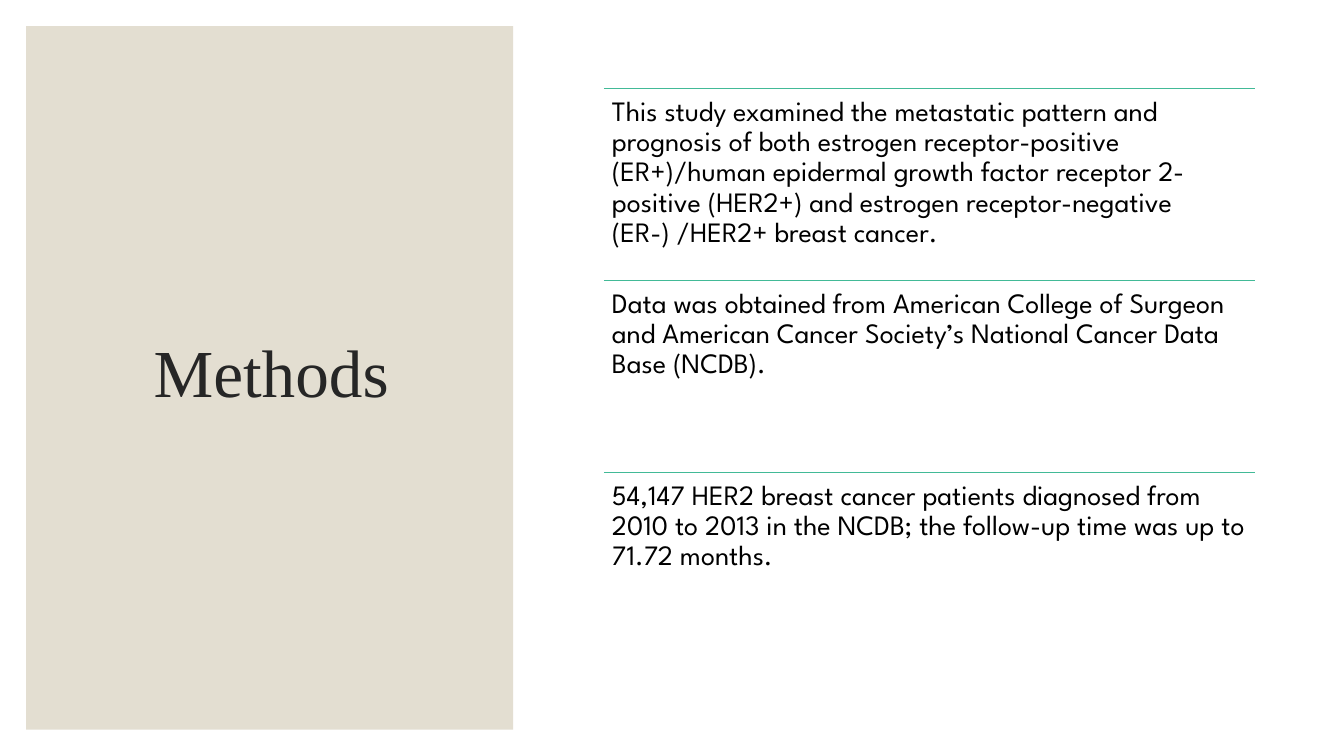
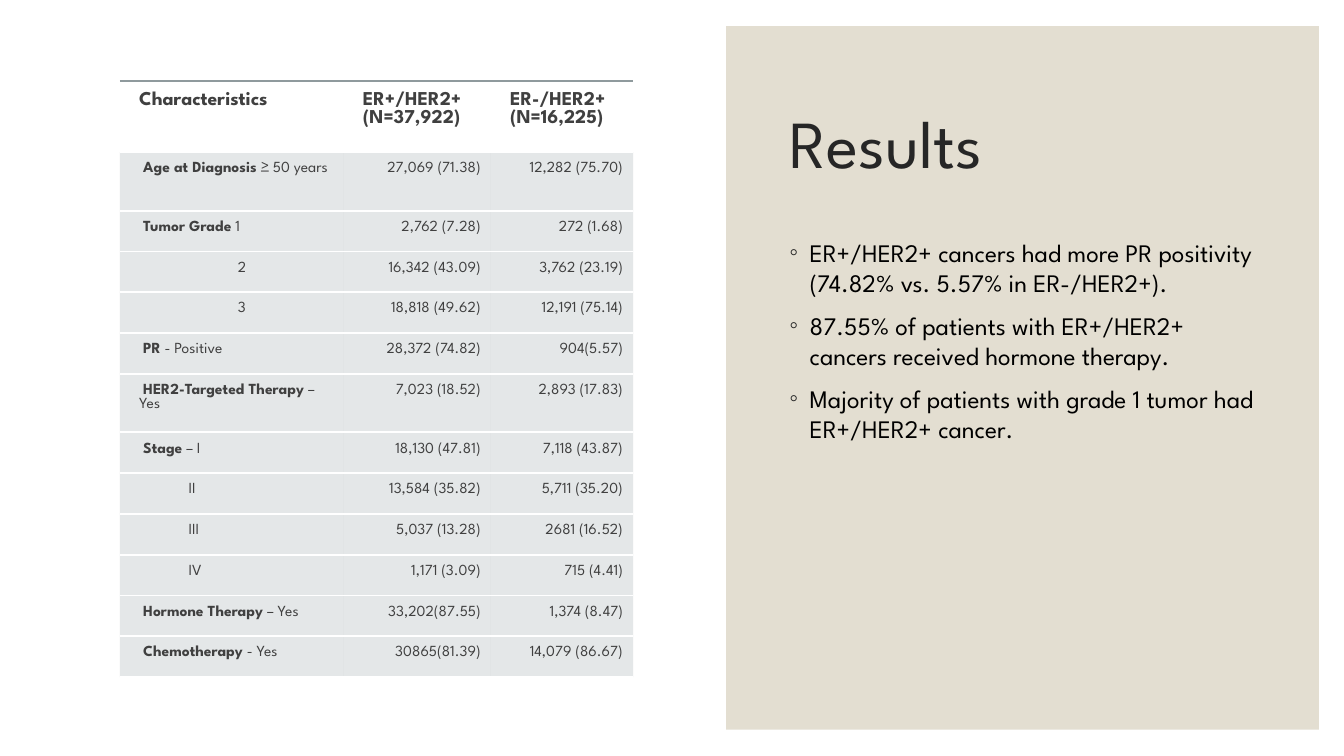
from lxml.etree import SubElement
from pptx import Presentation
from pptx.dml.color import RGBColor
from pptx.enum.shapes import MSO_CONNECTOR, MSO_SHAPE
from pptx.enum.text import MSO_ANCHOR, MSO_AUTO_SIZE, PP_ALIGN
from pptx.oxml import parse_xml
from pptx.oxml.ns import nsdecls, qn
from pptx.util import Inches, Pt

FONT = "League Spartan"
SERIF = "Times New Roman"
BEIGE, INK, BLACK = "E3DED1", "262626", "000000"
GREEN, WHITE = "42BA97", "FFFFFF"
GRAY, RULE, TABLE_INK = "B4BCBE", "8F9A9D", "404040"
NO_STYLE = "{2D5ABB26-0587-4C30-8999-92F81FD0307C}"
BODY_SPACING = Pt(21.6)


def rgb(value):
    return RGBColor.from_string(value)


def style(paragraph, size, color, spacing, font=FONT, align=PP_ALIGN.LEFT):
    paragraph.alignment = align
    paragraph.line_spacing = spacing
    for run in paragraph.runs:
        run.font.name = font
        run.font.size = Pt(size)
        run.font.color.rgb = rgb(color)


prs = Presentation()
prs.slide_width, prs.slide_height = Inches(13.33), Inches(7.5)

methods = prs.slides.add_slide(prs.slide_layouts[5])
results = prs.slides.add_slide(prs.slide_layouts[1])

methods_panels = [((0, 0, 13.33, 7.5), WHITE), ((0.26, 0.26, 4.83, 6.98), BEIGE)]
results_panels = [((0.26, 0.26, 12.82, 6.98), BEIGE), ((0, 0, 7.2, 7.5), WHITE)]
headings = [
    (methods, "Methods", (0.63, 0.61, 4.12, 6.24), methods_panels, SERIF, PP_ALIGN.CENTER, 0.9),
    (results, "Results", (7.73, 0.7, 4.89, 1.5), results_panels, FONT, PP_ALIGN.LEFT, Pt(51.4)),
]
for slide, text, title_box, panels, font, align, spacing in headings:
    title = slide.shapes.title
    title.left, title.top, title.width, title.height = map(Inches, title_box)
    title.text_frame.text = text
    title.text_frame.auto_size = MSO_AUTO_SIZE.NONE
    title.text_frame.vertical_anchor = MSO_ANCHOR.MIDDLE
    style(title.text_frame.paragraphs[0], 48, INK, spacing, font, align)
    for panel_box, color in panels:
        panel = slide.shapes.add_shape(MSO_SHAPE.RECTANGLE, *map(Inches, panel_box))
        panel.shadow.inherit = False
        panel.fill.solid()
        panel.fill.fore_color.rgb = rgb(color)
        panel.line.fill.background()
        title.element.addprevious(panel.element)

steps = [
    "This study examined the metastatic pattern and prognosis of both estrogen receptor-positive "
    "(ER+)/human epidermal growth factor receptor 2-positive (HER2+) and estrogen receptor-negative "
    "(ER-) /HER2+ breast cancer.",
    "Data was obtained from American College of Surgeon and American Cancer Society’s "
    "National Cancer Data Base (NCDB).",
    "54,147 HER2 breast cancer patients diagnosed from 2010 to 2013 in the NCDB; "
    "the follow-up time was up to 71.72 months.",
]
step_left, step_width, step_height = Inches(5.99), Inches(6.46), Inches(1.9)
for index, step in enumerate(steps):
    step_top = Inches(0.88 + index * 1.905)
    divider = methods.shapes.add_connector(
        MSO_CONNECTOR.STRAIGHT, step_left, step_top, step_left + step_width, step_top
    )
    divider.line.color.rgb = rgb(GREEN)
    divider.line.width = Pt(1)
    SubElement(divider.element.spPr, qn("a:effectLst"))
    frame = methods.shapes.add_textbox(step_left, step_top, step_width, step_height).text_frame
    frame.word_wrap = True
    frame.margin_left = frame.margin_right = Inches(0.08)
    frame.margin_top = frame.margin_bottom = Inches(0.08)
    frame.text = step
    style(frame.paragraphs[0], 20, BLACK, BODY_SPACING)

findings = [
    "ER+/HER2+ cancers had more PR positivity (74.82% vs. 5.57% in ER-/HER2+).",
    "87.55% of patients with ER+/HER2+ cancers received hormone therapy.",
    "Majority of patients with grade 1 tumor had ER+/HER2+ cancer.",
]
body = results.placeholders[1]
body.left, body.top, body.width, body.height = map(Inches, (7.73, 2.3, 4.89, 4.3))
body.text_frame.text = "\n".join(findings)
body.text_frame.auto_size = MSO_AUTO_SIZE.NONE
for paragraph in body.text_frame.paragraphs:
    style(paragraph, 18, BLACK, BODY_SPACING)
    paragraph.space_before = Pt(9)
    props = paragraph._p.get_or_add_pPr()
    props.set("marL", str(Inches(0.2)))
    props.set("indent", str(-Inches(0.2)))
    bullet_color = SubElement(props, qn("a:buClr"))
    SubElement(bullet_color, qn("a:srgbClr"), val=INK)
    SubElement(props, qn("a:buFont"), typeface=SERIF)
    SubElement(props, qn("a:buChar"), char="◦")

header = ["Characteristics", "ER+/HER2+ (N=37,922)", "ER-/HER2+ (N=16,225)"]
records = [
    ("Age at Diagnosis", " ≥ 50 years", 0.04, "27,069 (71.38)", "12,282 (75.70)"),
    ("Tumor Grade", " 1", 0.04, "2,762 (7.28)", "272 (1.68)"),
    ("", "2", 0.98, "16,342 (43.09)", "3,762 (23.19)"),
    ("", "3", 0.98, "18,818 (49.62)", "12,191 (75.14)"),
    ("PR", " - Positive", 0.04, "28,372 (74.82)", "904(5.57)"),
    ("HER2-Targeted Therapy", " – Yes", 0.04, "7,023 (18.52)", "2,893 (17.83)"),
    ("Stage", " – I", 0.04, "18,130 (47.81)", "7,118 (43.87)"),
    ("", "II", 0.49, "13,584 (35.82)", "5,711 (35.20)"),
    ("", "III", 0.49, "5,037 (13.28)", "2681 (16.52)"),
    ("", "IV", 0.49, "1,171 (3.09)", "715 (4.41)"),
    ("Hormone Therapy", " – Yes", 0.04, "33,202(87.55)", "1,374 (8.47)"),
    ("Chemotherapy", " - Yes", 0.04, "30865(81.39)", "14,079 (86.67)"),
]
table_height, header_height, tall_height = 5.92, 0.71, 0.58
tall_rows = (1, 6)
short_height = (table_height - header_height - 2 * tall_height) / 10
table_frame = results.shapes.add_table(
    len(records) + 1, 3, Inches(1.19), Inches(0.8), Inches(5.09), Inches(table_height)
)
table = table_frame.table
table.first_row = table.horz_banding = False
next(table_frame.element.iter(qn("a:tableStyleId"))).text = NO_STYLE
for column, width in zip(table.columns, (2.22, 1.46, 1.41)):
    column.width = Inches(width)

for row_index, row in enumerate(table.rows):
    is_header = row_index == 0
    if is_header:
        row.height = Inches(header_height)
    else:
        row.height = Inches(tall_height if row_index in tall_rows else short_height)
    inset = Inches(0.11 if is_header else 0.1)
    for column_index, cell in enumerate(row.cells):
        cell.margin_left = Inches(0.19)
        cell.margin_right = cell.margin_top = cell.margin_bottom = inset
        paragraph = cell.text_frame.paragraphs[0]
        if is_header:
            paragraph.text = header[column_index]
            style(paragraph, 14, TABLE_INK, Pt(13))
            paragraph.runs[0].font.bold = True
            cell.fill.background()
            borders = [("lnT", RULE, 60), ("lnB", WHITE, 100)]
        else:
            name, detail, indent, *counts = records[row_index - 1]
            if column_index == 0:
                for part, bold in ((name, True), (detail, False)):
                    if part:
                        run = paragraph.add_run()
                        run.text = part
                        run.font.bold = bold
                paragraph._p.get_or_add_pPr().set("indent", str(Inches(indent)))
                align = PP_ALIGN.LEFT
            else:
                paragraph.text = counts[column_index - 1]
                align = PP_ALIGN.RIGHT
            style(paragraph, 11, TABLE_INK, Pt(10), align=align)
            cell.fill.solid()
            cell.fill.fore_color.rgb = rgb(GRAY)
            cell_props = cell._tc.get_or_add_tcPr()
            SubElement(next(cell_props.iter(qn("a:srgbClr"))), qn("a:alpha"), val="35000")
            borders = [("lnT", WHITE, 100), ("lnB", WHITE, 100)]
        for position, (side, color, opacity) in enumerate(borders):
            border = parse_xml(
                f'<a:{side} {nsdecls("a")} w="{Pt(1.5)}"><a:solidFill><a:srgbClr val="{color}">'
                f'<a:alpha val="{opacity * 1000}"/></a:srgbClr></a:solidFill></a:{side}>'
            )
            cell._tc.get_or_add_tcPr().insert(position, border)

therapy_label = table.cell(6, 0)
therapy_label.margin_right = Inches(0.25)

prs.save("out.pptx")
